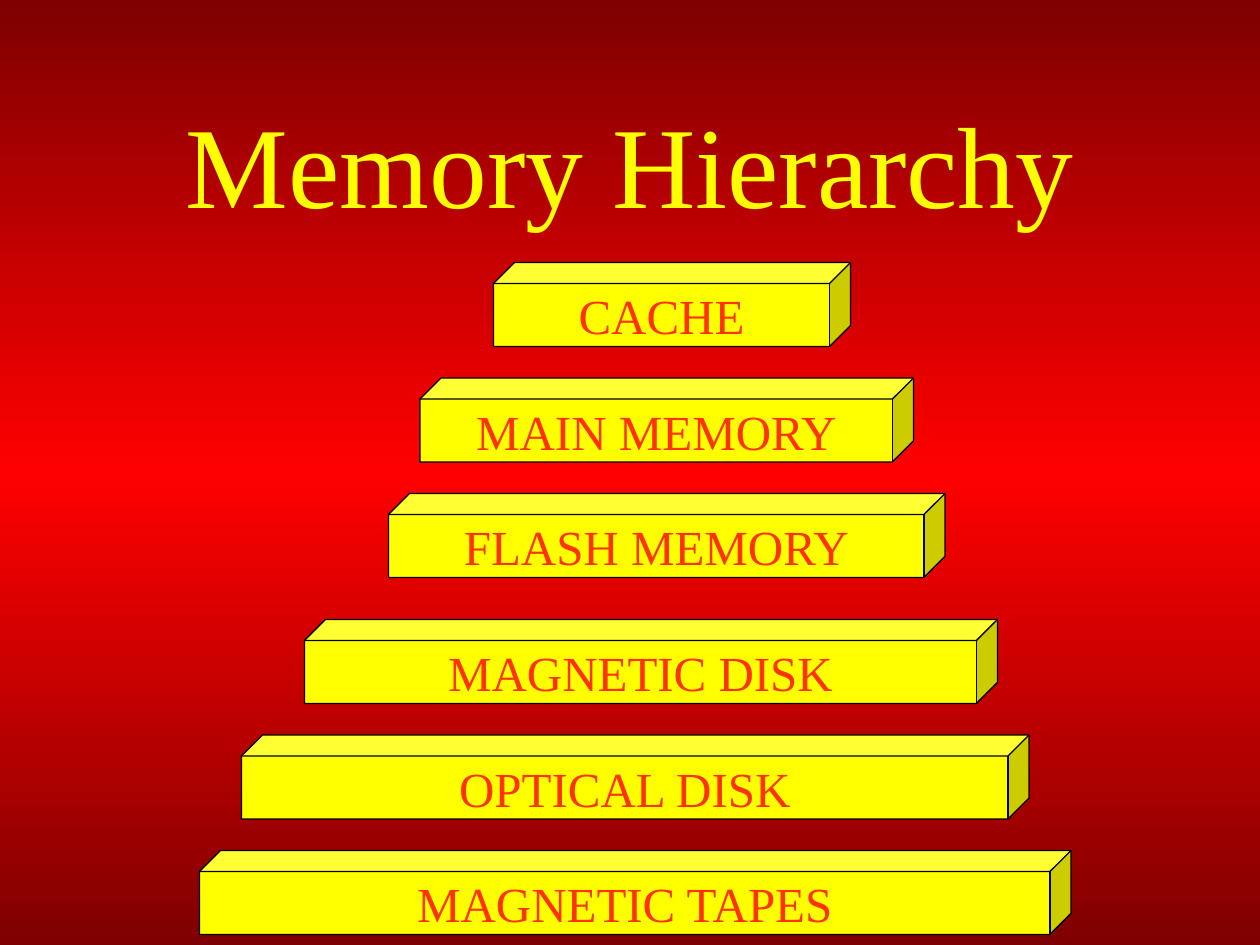
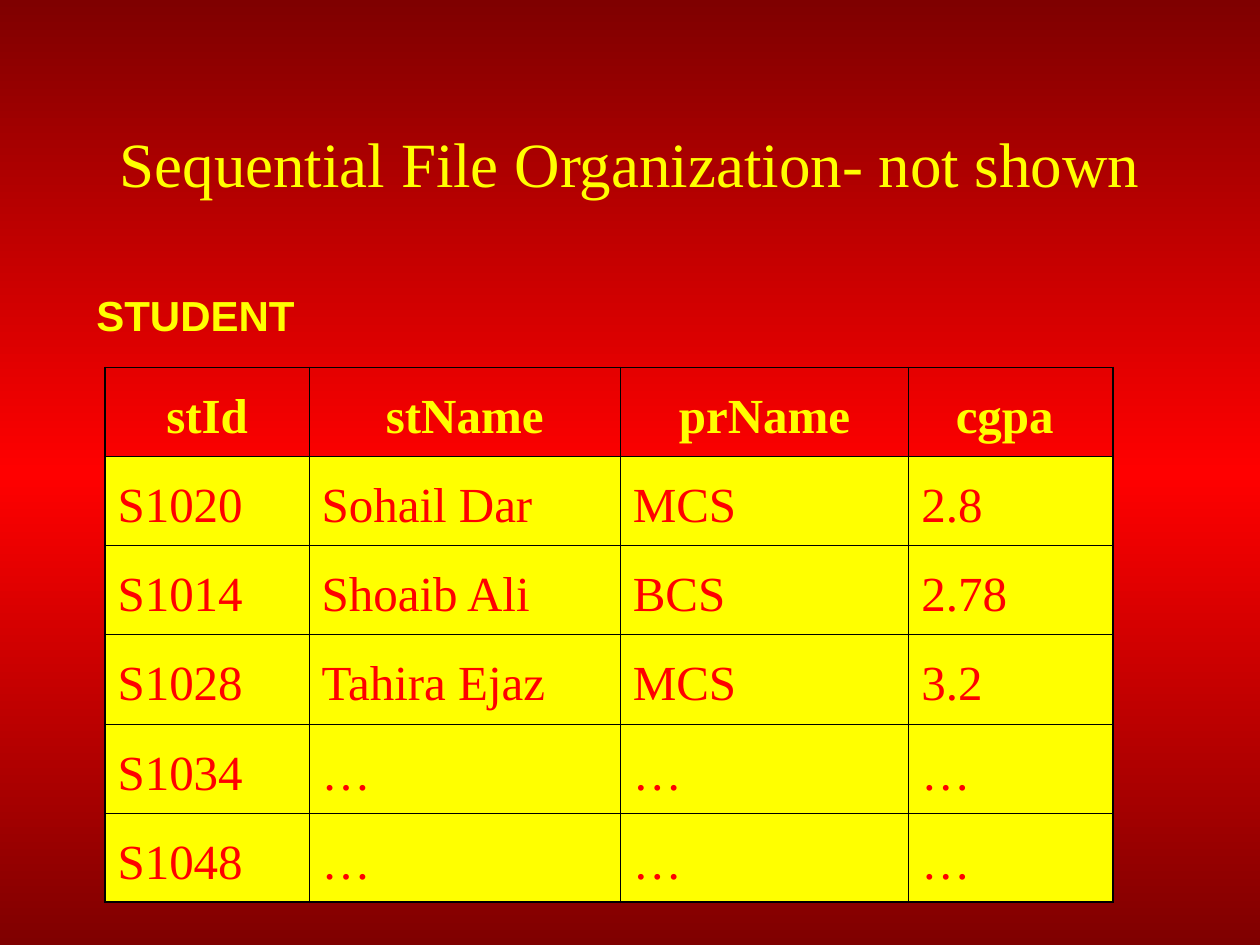
from copy import deepcopy

from lxml.etree import SubElement
from pptx import Presentation
from pptx.dml.color import RGBColor
from pptx.enum.shapes import MSO_SHAPE
from pptx.enum.text import MSO_ANCHOR, PP_ALIGN
from pptx.oxml.ns import qn
from pptx.util import Pt

MAROON = RGBColor(0x7F, 0x00, 0x00)
RED = RGBColor(0xFF, 0x00, 0x00)
ORANGE = RGBColor(0xFF, 0x33, 0x00)
YELLOW = RGBColor(0xFF, 0xFF, 0x00)
BLACK = RGBColor(0x00, 0x00, 0x00)

SERIF = "Times New Roman"
SANS = "Arial"
PLAIN_TABLE = "{2D5ABB26-0587-4C30-8999-92F81FD0307C}"
INNER_LINE = 0.45
OUTER_LINE = 1.08

MEMORY_LEVELS = [
    ("CACHE", 282, 150, 204),
    ("MAIN MEMORY", 240, 216, 282),
    ("FLASH MEMORY", 222, 282, 318),
    ("MAGNETIC DISK", 174, 354, 396),
    ("OPTICAL DISK", 138, 420, 450),
    ("MAGNETIC TAPES", 114, 486, 498),
]

STUDENT_COLUMNS = [116.64, 177.84, 164.88, 116.64]
STUDENT_ROWS = [
    ("stId", "stName", "prName", "cgpa "),
    ("S1020", "Sohail Dar", "MCS", "2.8"),
    ("S1014", "Shoaib Ali", "BCS", "2.78"),
    ("S1028", "Tahira Ejaz", "MCS", "3.2"),
    ("S1034", "…", "…", "…"),
    ("S1048", "…", "…", "…"),
]


class SlideBuilder:
    def __init__(self):
        self.deck = Presentation()
        self.deck.slide_width = Pt(720)
        self.deck.slide_height = Pt(540)
        self.page = None

    def start_page(self, title, title_size):
        self.page = self.deck.slides.add_slide(self.deck.slide_layouts[6])
        fill = self.page.background.fill
        fill.gradient()
        fill.gradient_angle = 90
        stop_list = self.page.element.find(".//" + qn("a:gsLst"))
        stop_list.insert(1, deepcopy(stop_list[0]))
        colours = (MAROON, RED, MAROON)
        for stop, position, colour in zip(fill.gradient_stops, (0, 0.5, 1), colours):
            stop.position = position
            stop.color.rgb = colour
        self.text_box(title, 54, 48, 612, 90, title_size, align=PP_ALIGN.CENTER,
                      anchor=MSO_ANCHOR.MIDDLE)

    def add_text(self, frame, text, size, colour, font=SERIF, bold=False,
                 align=PP_ALIGN.LEFT):
        para = frame.paragraphs[0]
        para.alignment = align
        span = para.add_run()
        span.text = text
        span.font.name = font
        span.font.size = Pt(size)
        span.font.bold = bold
        span.font.color.rgb = colour
        return para

    def text_box(self, text, left, top, width, height, size, font=SERIF, bold=False,
                 align=PP_ALIGN.LEFT, anchor=MSO_ANCHOR.TOP, wrap=True):
        box = self.page.shapes.add_textbox(Pt(left), Pt(top), Pt(width), Pt(height))
        box.text_frame.word_wrap = wrap
        box.text_frame.vertical_anchor = anchor
        self.add_text(box.text_frame, text, size, YELLOW, font, bold, align)

    def cube(self, text, left, top, width, height=48):
        cube = self.page.shapes.add_shape(
            MSO_SHAPE.CUBE, Pt(left), Pt(top), Pt(width), Pt(height))
        cube.adjustments[0] = 0.25
        cube.shadow.inherit = False
        cube.fill.solid()
        cube.fill.fore_color.rgb = YELLOW
        cube.line.color.rgb = BLACK
        cube.line.width = Pt(0.75)
        cube.text_frame.word_wrap = False
        cube.text_frame.vertical_anchor = MSO_ANCHOR.MIDDLE
        self.add_text(cube.text_frame, text, 28, ORANGE, align=PP_ALIGN.CENTER)

    def border(self, cell, side, width):
        properties = cell._tc.get_or_add_tcPr()
        line = SubElement(properties, qn("a:ln" + side), w=str(Pt(width)))
        fill = SubElement(line, qn("a:solidFill"))
        SubElement(fill, qn("a:srgbClr"), val=str(BLACK))

    def table(self, rows, left, top, column_widths, row_height):
        frame = self.page.shapes.add_table(
            len(rows), len(column_widths), Pt(left), Pt(top),
            Pt(sum(column_widths)), Pt(row_height * len(rows)))
        frame.element.find(".//" + qn("a:tableStyleId")).text = PLAIN_TABLE
        table = frame.table
        table.first_row = False
        table.horz_banding = False
        for column, width in zip(table.columns, column_widths):
            column.width = Pt(width)
        last_row, last_column = len(rows) - 1, len(column_widths) - 1
        for i, texts in enumerate(rows):
            table.rows[i].height = Pt(row_height)
            for j, text in enumerate(texts):
                cell = table.cell(i, j)
                outer_sides = {"L": j == 0, "R": j == last_column,
                               "T": i == 0, "B": i == last_row}
                for side, outer in outer_sides.items():
                    self.border(cell, side, OUTER_LINE if outer else INNER_LINE)
                if i == 0:
                    cell.fill.background()
                    para = self.add_text(cell.text_frame, text, 28, YELLOW, bold=True,
                                         align=PP_ALIGN.CENTER)
                else:
                    cell.fill.solid()
                    cell.fill.fore_color.rgb = YELLOW
                    para = self.add_text(cell.text_frame, text, 28, RED)
                para.line_spacing = 1.3


def main():
    builder = SlideBuilder()

    builder.start_page("Memory Hierarchy", 66)
    for name, left, top, width in MEMORY_LEVELS:
        builder.cube(name, left, top, width)

    builder.start_page("Sequential File Organization- not shown", 36)
    builder.table(STUDENT_ROWS, 60, 210, STUDENT_COLUMNS, 50.88)
    builder.text_box("STUDENT", 48, 162, 127.5, 36, 24, SANS, bold=True, wrap=False)

    builder.deck.save("out.pptx")


if __name__ == "__main__":
    main()
